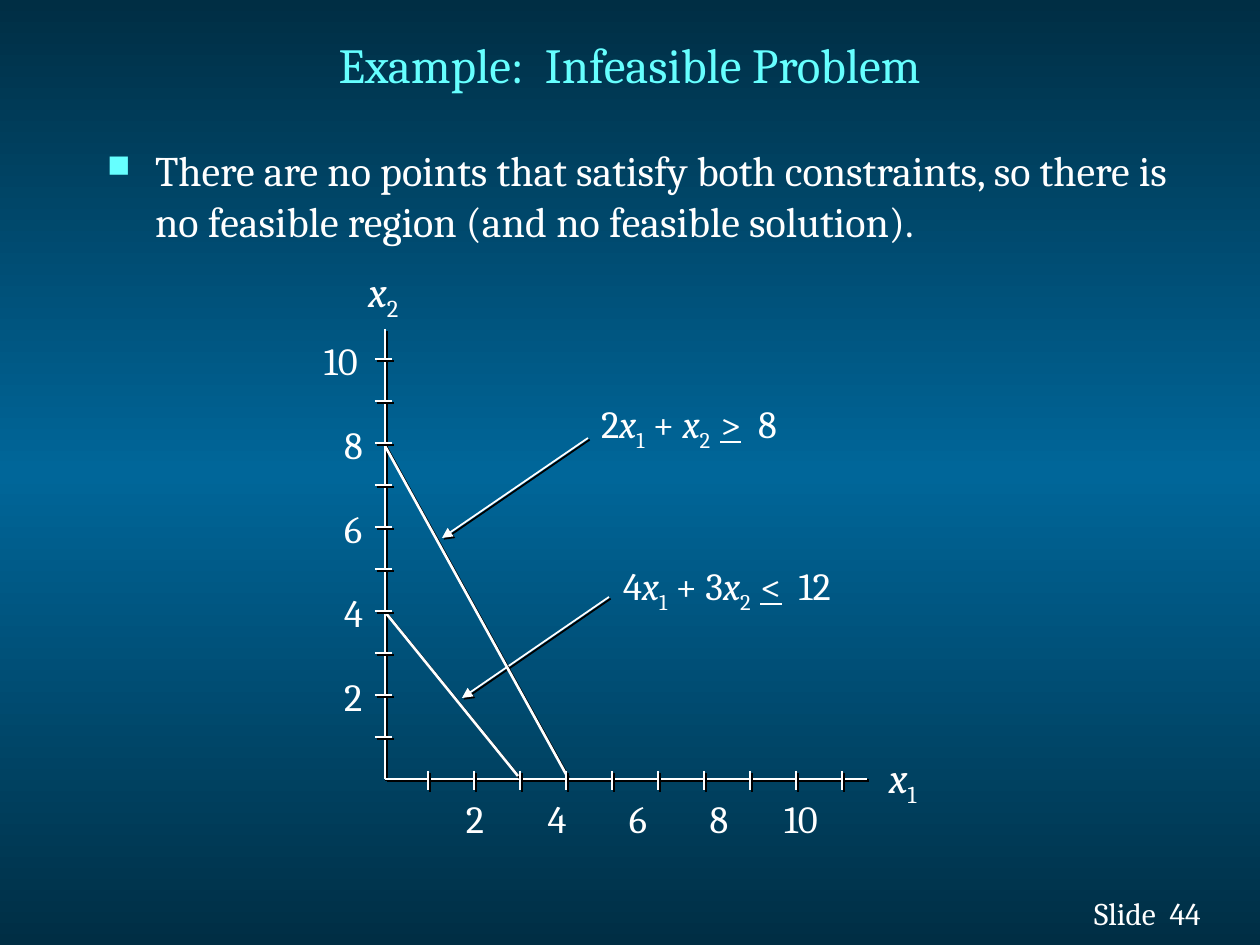
from copy import deepcopy
from dataclasses import dataclass
from typing import NamedTuple

from lxml import etree
from pptx import Presentation
from pptx import util as u
from pptx.dml.color import RGBColor
from pptx.enum import shapes, text
from pptx.oxml import ns

DPI = 126


@dataclass(frozen=True)
class Theme:
    font: str = "Cambria"
    ink: str = "FFFFFF"
    accent: str = "66FFFF"
    edge: str = "002E44"
    mid: str = "006699"
    shade: str = "000000"
    title: int = 28
    body: int = 24
    label: int = 22
    foot: int = 18


class Box(NamedTuple):
    left: int
    top: int
    width: int
    height: int


class Run(NamedTuple):
    text: str
    style: str = ""  # i = italic, s = subscript, u = underline


class Line(NamedTuple):
    x1: int
    y1: int
    x2: int
    y2: int
    width: float = 1
    arrow: bool = False


class Label(NamedTuple):
    runs: list[Run]
    box: Box
    size: int


T = Theme()


def px(n: int) -> int:
    return round(n * 914400 / DPI)


def rgb(code: str) -> RGBColor:
    return RGBColor.from_string(code)


def sub(parent, tag: str, **attrs):
    return etree.SubElement(parent, ns.qn(tag), attrs)


def shadow():
    """Make a hard drop shadow to the lower right."""
    fx = etree.Element(ns.qn("a:effectLst"))
    drop = sub(fx, "a:outerShdw", dist="17780", dir="2700000", algn="ctr", rotWithShape="0")
    sub(drop, "a:srgbClr", val=T.shade)
    return fx


def write(shape, runs: str | list[Run], *, size: int, color: str = T.ink, align=text.PP_ALIGN.LEFT,
          anchor=text.MSO_ANCHOR.TOP, pad: tuple[int, int] = (13, 6), shade: bool = False):
    """Fill a shape with one formatted paragraph and return the paragraph."""
    frame = shape.text_frame
    frame.word_wrap = True
    frame.auto_size = text.MSO_AUTO_SIZE.NONE
    frame.vertical_anchor = anchor
    frame.margin_left = frame.margin_right = px(pad[0])
    frame.margin_top = frame.margin_bottom = px(pad[1])
    para = frame.paragraphs[0]
    para.alignment = align
    for part in [Run(runs)] if isinstance(runs, str) else runs:
        run = para.add_run()
        run.text = part.text
        font = run.font
        font.name, font.size = T.font, u.Pt(size)
        font.color.rgb = rgb(color)
        font.italic = "i" in part.style
        font.underline = "u" in part.style
        props = run._r.get_or_add_rPr()
        if "s" in part.style:
            props.set("baseline", "-25000")
        if shade:
            props.find(ns.qn("a:solidFill")).addnext(shadow())
    return para


def add_text(slide, box: Box, runs: str | list[Run], **fmt):
    return write(slide.shapes.add_textbox(*map(px, box)), runs, **fmt)


def add_line(slide, line: Line) -> None:
    ends = map(px, (line.x1, line.y1, line.x2, line.y2))
    item = slide.shapes.add_connector(shapes.MSO_CONNECTOR.STRAIGHT, *ends)
    item.line.color.rgb = rgb(T.ink)
    item.line.width = u.Pt(line.width)
    if line.arrow:
        sub(item.line._get_or_add_ln(), "a:tailEnd", type="triangle")
    item._element.spPr.append(shadow())


def add_bullet(para, indent: int) -> None:
    props = para._p.get_or_add_pPr()
    props.set("marL", str(px(indent)))
    props.set("indent", str(-px(indent)))
    sub(sub(props, "a:buClr"), "a:srgbClr", val=T.accent)
    sub(props, "a:buSzPct", val="75000")
    sub(props, "a:buChar", char="■")


def paint(slide) -> None:
    """Shade the background from dark edges to a bright middle."""
    fill = slide.background.fill
    fill.gradient()
    fill.gradient_angle = 270
    first = next(slide._element.iter(ns.qn("a:gs")))
    first.addnext(deepcopy(first))
    for stop, color, pos in zip(fill.gradient_stops, (T.edge, T.mid, T.edge), (0, 0.5, 1)):
        stop.color.rgb = rgb(color)
        stop.position = pos


def formula(a: str, b: str, sign: str, rhs: str) -> list[Run]:
    return [Run(a), Run("x", "i"), Run("1", "s"), Run(f" + {b}"), Run("x", "i"),
            Run("2  ", "s"), Run(sign, "u"), Run(f"  {rhs}")]


def axis(n: str) -> list[Run]:
    return [Run("x", "i"), Run(n, "s")]


def main() -> None:
    deck = Presentation()
    deck.slide_width, deck.slide_height = px(1260), px(945)
    slide = deck.slides.add_slide(deck.slide_layouts[5])
    paint(slide)

    # Title and bullet
    title = slide.shapes.title
    title.left, title.top, title.width, title.height = map(px, (94, 8, 1071, 112))
    write(title, "Example:  Infeasible Problem", size=T.title, color=T.accent,
          align=text.PP_ALIGN.CENTER, anchor=text.MSO_ANCHOR.MIDDLE)
    para = add_text(slide, Box(94, 139, 1105, 125),
                    "There are no points that satisfy both constraints, so there is "
                    "no feasible region (and no feasible solution).", size=T.body)
    para.space_before = u.Pt(5)
    add_bullet(para, 48)

    # Axis names and constraints
    labels = [
        Label(axis("2"), Box(350, 256, 71, 68), T.body),
        Label(axis("1"), Box(871, 742, 71, 68), T.body),
        Label(formula("4", "3", "<", "12"), Box(605, 553, 282, 64), T.label),
        Label(formula("2", "", ">", "8"), Box(583, 391, 243, 64), T.label),
    ]
    for item in labels:
        add_text(slide, item.box, item.runs, size=item.size, pad=(18, 9))

    # Arrows, axes and constraint lines
    lines = [
        Line(609, 597, 462, 698, arrow=True),
        Line(588, 438, 442, 538, arrow=True),
        Line(385, 329, 385, 779, 1.5),
        Line(385, 779, 867, 779, 1.5),
        Line(385, 612, 518, 776, 1.5),
        Line(385, 446, 567, 776, 1.5),
    ]

    # Ticks on both axes
    for i in range(10):
        y, x = 737 - 42 * i, 428 + 46 * i
        lines += [Line(375, y, 392, y), Line(x, 771, x, 790)]
    for line in lines:
        add_line(slide, line)

    # Tick numbers
    for i in range(5):
        value = str(2 * i + 2)
        left = 331 if len(value) == 1 else 311
        add_text(slide, Box(left, 667 - 84 * i, 375 - left, 58), value, size=T.label)
        add_text(slide, Box(443 + round(81.5 * i), 789, 64, 58), value, size=T.label,
                 align=text.PP_ALIGN.CENTER)

    # Slide number
    add_text(slide, Box(1081, 888, 145, 50), "Slide  44", size=T.foot, shade=True)
    deck.save("out.pptx")


if __name__ == "__main__":
    main()
